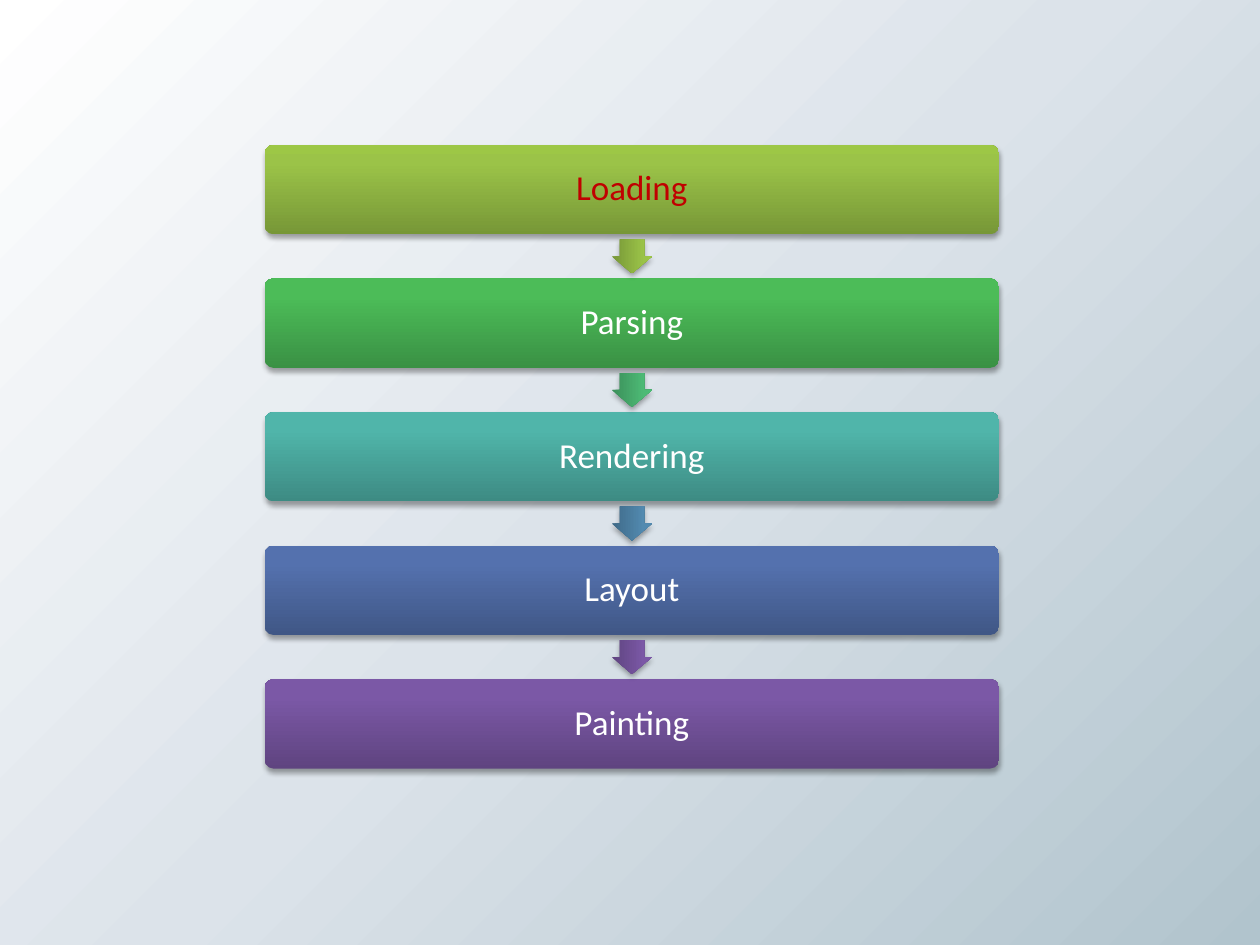
from lxml.etree import SubElement
from pptx import Presentation
from pptx.dml.color import RGBColor
from pptx.enum.shapes import MSO_SHAPE as Shape
from pptx.enum.text import MSO_ANCHOR as Anchor, PP_ALIGN as Align
from pptx.oxml.ns import qn
from pptx.util import Inches, Pt

CENTER_X, TOP, PITCH = 5.015, 1.15, 1.06
BOX_WIDTH, BOX_HEIGHT = 5.83, 0.71
ARROW_WIDTH, ARROW_HEIGHT = 0.27, 0.32
STOPS = (0, 80, 100)
GREEN = ("779737", "9BC348", "9DC746")
PURPLE = ("5F4480", "7B58A6", "7C57A8")
STAGES = [
    ("Loading", "C00000", GREEN),
    ("Parsing", "FFFFFF", ("3A9144", "4CBC58", "4ABF57")),
    ("Rendering", "FFFFFF", ("3D8B83", "50B5AA", "4EB8AC")),
    ("Layout", "FFFFFF", ("405786", "5471AE", "5271B0")),
    ("Painting", "FFFFFF", PURPLE),
]
ARROWS = [
    GREEN,
    ("3B8F5A", "4DBA75", "4BBD75"),
    ("3F6A88", "528AB0", "518BB3"),
    PURPLE,
]


def color(hex_text):
    """Turn a hex string into a colour."""
    return RGBColor.from_string(hex_text)


def apply(target, values):
    """Set every attribute named in a dict of format values."""
    for name, value in values.items():
        setattr(target, name, value)


def set_gradient(owner, fill, angle, stops):
    """Give a slide or shape a linear gradient of (position, colour) stops."""
    fill.gradient()
    fill.gradient_angle = angle
    stop_list = owner.element.find(".//" + qn("a:gsLst"))
    for old_stop in list(stop_list):
        stop_list.remove(old_stop)
    for position, hex_text in stops:
        stop = SubElement(stop_list, qn("a:gs"), pos=str(position * 1000))
        SubElement(stop, qn("a:srgbClr"), val=hex_text)


def set_shadow(shape):
    """Give a shape a soft shadow that falls straight down."""
    shape.shadow.inherit = False
    effects = shape.element.spPr.find(qn("a:effectLst"))
    shadow = SubElement(effects, qn("a:outerShdw"), blurRad=str(Pt(3.1)),
                        dist=str(Pt(1.8)), dir="5400000", rotWithShape="0")
    black = SubElement(shadow, qn("a:srgbClr"), val="000000")
    SubElement(black, qn("a:alpha"), val="35000")


def add_block(slide, kind, center_y, width, height, colors, adjustments):
    """Add a shaded shape centred on the flow's axis."""
    shape = slide.shapes.add_shape(
        kind, Inches(CENTER_X - width / 2), Inches(center_y - height / 2),
        Inches(width), Inches(height))
    for index, value in enumerate(adjustments):
        shape.adjustments[index] = value
    set_gradient(shape, shape.fill, 90, zip(STOPS, colors))
    shape.line.fill.background()
    set_shadow(shape)
    return shape


def add_stage(slide, row, label, text_color, colors):
    """Add the rounded box of one stage with its label."""
    center_y = TOP + row * PITCH + BOX_HEIGHT / 2
    box = add_block(slide, Shape.ROUNDED_RECTANGLE, center_y,
                    BOX_WIDTH, BOX_HEIGHT, colors, [0.1])
    sides = ("left", "right", "top", "bottom")
    apply(box.text_frame, {f"margin_{side}": Inches(0.1) for side in sides})
    apply(box.text_frame, {"word_wrap": True, "vertical_anchor": Anchor.MIDDLE})
    paragraph = box.text_frame.paragraphs[0]
    apply(paragraph, {"text": label, "alignment": Align.CENTER, "line_spacing": 0.9})
    font = paragraph.runs[0].font
    apply(font, {"name": "Calibri", "size": Pt(20)})
    font.color.rgb = color(text_color)


def add_arrow(slide, row, colors):
    """Add the downward arrow in the gap below a stage."""
    center_y = TOP + row * PITCH + (BOX_HEIGHT + PITCH) / 2
    arrow = add_block(slide, Shape.RIGHT_ARROW, center_y,
                      ARROW_WIDTH, ARROW_HEIGHT, colors, [0.6, 0.5])
    arrow.rotation = 90


def main():
    """Build the slide with the five stages and save it."""
    presentation = Presentation()
    apply(presentation, {"slide_width": Inches(10), "slide_height": Inches(7.5)})
    slide = presentation.slides.add_slide(presentation.slide_layouts[6])
    set_gradient(slide, slide.background.fill, 315,
                 [(0, "FFFFFF"), (50, "DCE3EA"), (100, "B1C4CD")])
    for row, stage in enumerate(STAGES):
        add_stage(slide, row, *stage)
    for row, colors in enumerate(ARROWS):
        add_arrow(slide, row, colors)
    presentation.save("out.pptx")


if __name__ == "__main__":
    main()
